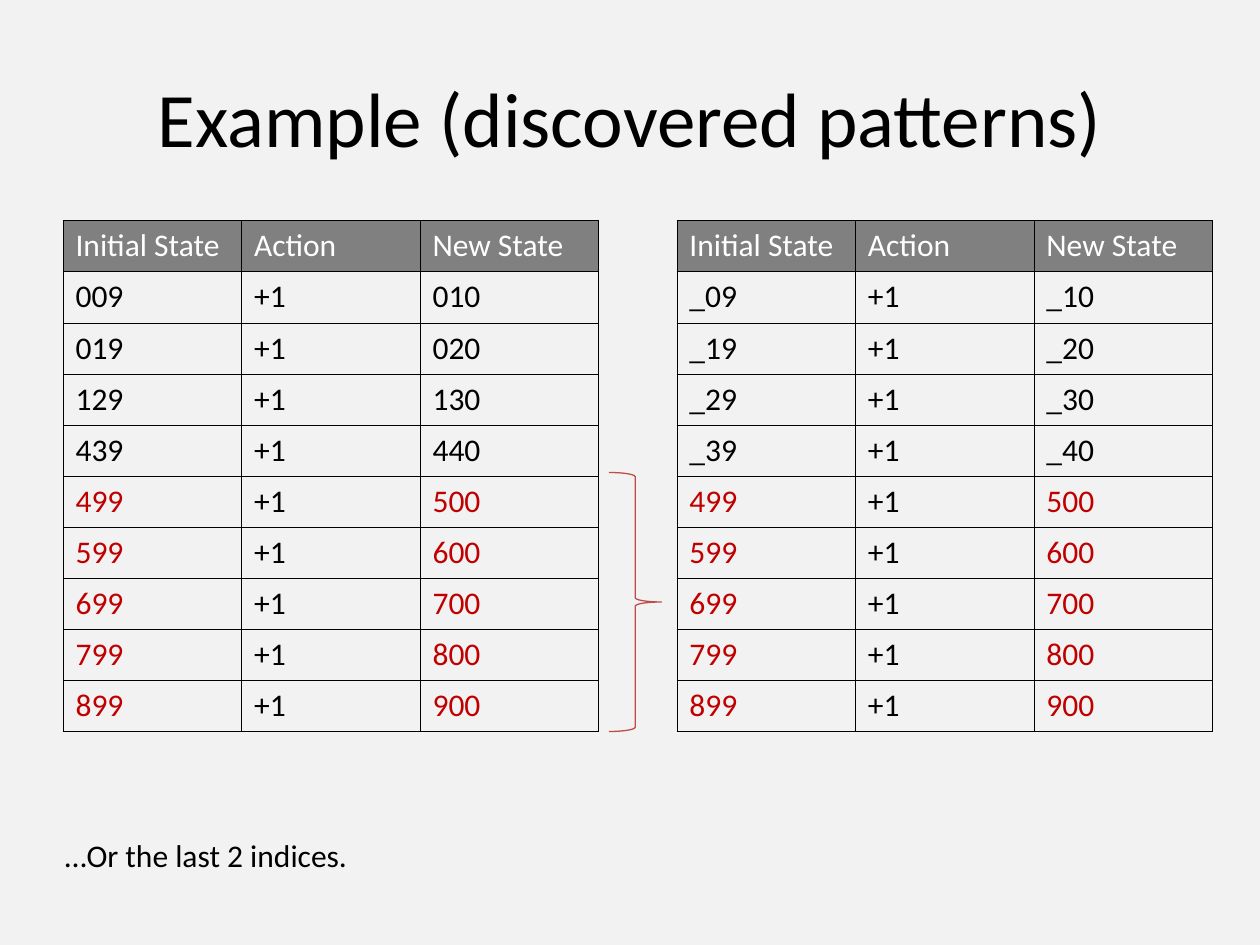
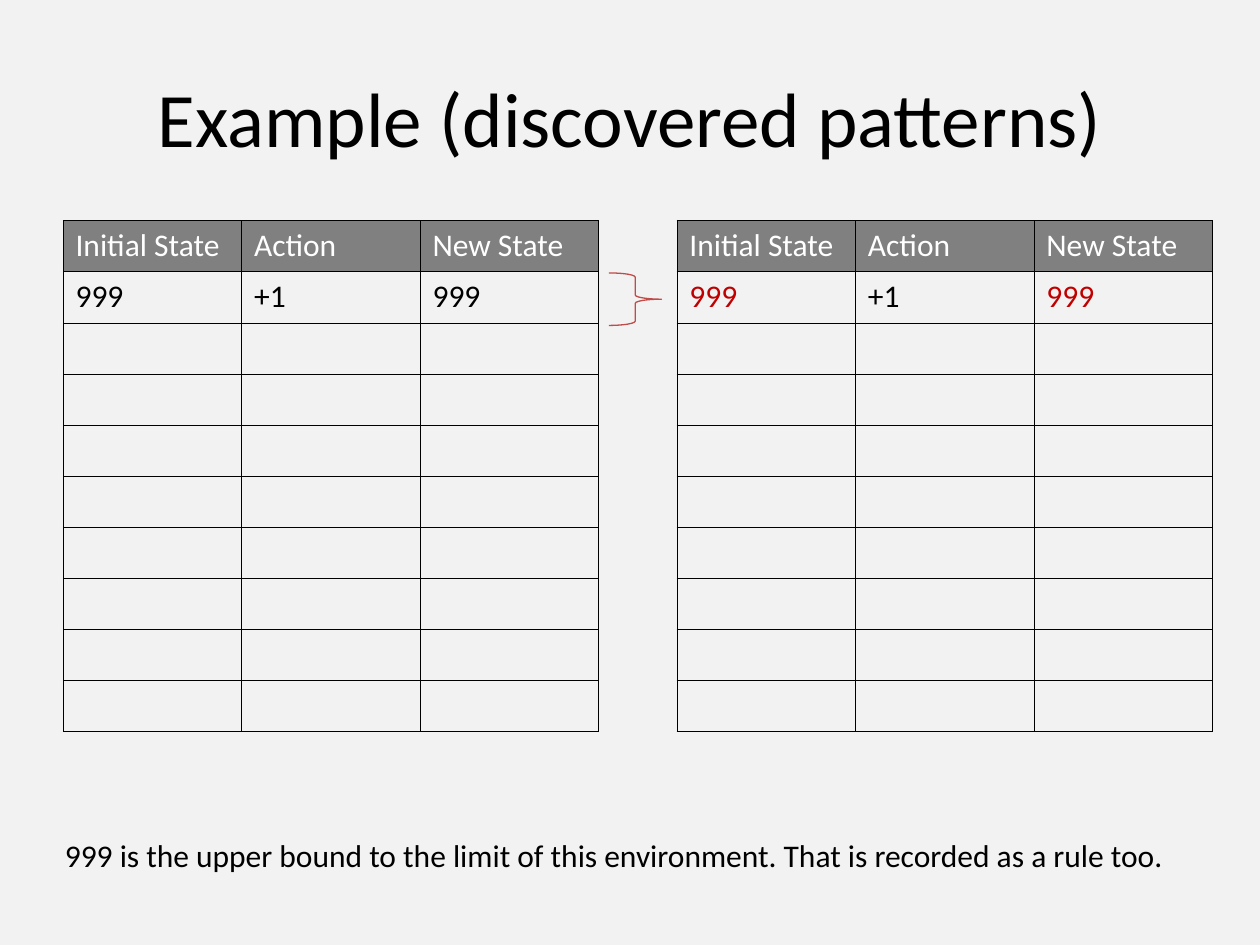
from dataclasses import dataclass

from lxml.etree import SubElement as Sub
from pptx import Presentation
from pptx.dml.color import RGBColor as RGB
from pptx.enum.shapes import MSO_SHAPE as Shape
from pptx.enum.text import MSO_ANCHOR as Anchor, MSO_AUTO_SIZE as Auto, PP_ALIGN as Align
from pptx.oxml.ns import qn
from pptx.util import Emu, Pt

# Shared look, with 180 px to the inch
SCALE = 5080
FONT = "Calibri"
HUES = {"back": "F2F2F2", "ink": "000000", "red": "C00000",
        "head": "808080", "pale": "FFFFFF", "brace": "BF4C48"}
TITLE = "Example (discovered patterns)"
HEADS = ("Initial State", "Action", "New State")
ACTION = "+1"
ROWS, ROW_H, COL_W, TOP = 10, 73, 255, 315
LEFT_X, RIGHT_X = 90, 967


@dataclass
class Box:
    x: int
    y: int
    w: int
    h: int

    def emu(self) -> list[Emu]:
        return [px(n) for n in (self.x, self.y, self.w, self.h)]


@dataclass
class Grid:
    x: int
    states: list[tuple[str, str]]
    red_from: int


@dataclass
class Page:
    grids: list[Grid]
    brace: Box
    note: str


def px(n: int) -> Emu:
    return Emu(n * SCALE)


def hue(name: str) -> RGB:
    return RGB.from_string(HUES[name])


def add_run(para, text: str, size: int, color: str) -> None:
    run = para.add_run()
    run.text = text
    font = run.font
    font.name, font.size, font.bold = FONT, Pt(size), False
    font.color.rgb = hue(color)


def add_text(slide, box: Box, text: str, size: int):
    frame = slide.shapes.add_textbox(*box.emu()).text_frame
    frame.word_wrap = True
    add_run(frame.paragraphs[0], text, size, "ink")
    return frame


def add_edges(cell) -> None:
    props = cell._tc.get_or_add_tcPr()
    for side in ("lnL", "lnR", "lnT", "lnB"):
        line = Sub(props, qn(f"a:{side}"), w=str(Pt(0.25)))
        fill = Sub(line, qn("a:solidFill"))
        Sub(fill, qn("a:srgbClr"), val=HUES["ink"])


def add_grid(slide, grid: Grid) -> None:
    cols = len(HEADS)
    box = Box(grid.x, TOP, cols * COL_W, ROWS * ROW_H)
    table = slide.shapes.add_table(ROWS, cols, *box.emu()).table
    table.first_row = table.horz_banding = False
    for col in table.columns:
        col.width = px(COL_W)
    for row in table.rows:
        row.height = px(ROW_H)

    # Borders and fills; rows without states stay empty
    for cell in table.iter_cells():
        add_edges(cell)
        cell.fill.background()

    # Header row
    for c, head in enumerate(HEADS):
        cell = table.cell(0, c)
        cell.fill.solid()
        cell.fill.fore_color.rgb = hue("head")
        add_run(cell.text_frame.paragraphs[0], head, 18, "pale")

    # State rows, red from the given one on, with a black action
    for r, (old, new) in enumerate(grid.states):
        tone = "red" if r >= grid.red_from else "ink"
        parts = ((old, tone), (ACTION, "ink"), (new, tone))
        for c, (text, color) in enumerate(parts):
            add_run(table.cell(r + 1, c).text_frame.paragraphs[0], text, 18, color)


def add_brace(slide, box: Box) -> None:
    brace = slide.shapes.add_shape(Shape.RIGHT_BRACE, *box.emu())
    brace.shadow.inherit = False
    brace.adjustments[0] = 0.08
    brace.adjustments[1] = 0.5
    brace.fill.background()
    brace.line.color.rgb = hue("brace")
    brace.line.width = Pt(0.75)


def add_page(deck, page: Page) -> None:
    slide = deck.slides.add_slide(deck.slide_layouts[6])
    back = slide.background.fill
    back.solid()
    back.fore_color.rgb = hue("back")

    # Title
    title = add_text(slide, Box(90, 54, 1620, 225), TITLE, 44)
    title.vertical_anchor = Anchor.MIDDLE
    title.paragraphs[0].alignment = Align.CENTER

    # Tables, brace and note
    for grid in page.grids:
        add_grid(slide, grid)
    add_brace(slide, page.brace)
    note = add_text(slide, Box(75, 1185, 1635, 73), page.note, 18)
    note.auto_size = Auto.SHAPE_TO_FIT_TEXT


# Content
CARRY = [(f"{n}99", f"{n + 1}00") for n in range(4, 9)]
FOUND = [("009", "010"), ("019", "020"), ("129", "130"), ("439", "440")]
RULES = [(f"_{n}9", f"_{n + 1}0") for n in range(4)]
LIMIT = [("999", "999")]

PAGES = [
    Page([Grid(LEFT_X, FOUND + CARRY, 4), Grid(RIGHT_X, RULES + CARRY, 4)],
         Box(870, 675, 75, 370), "…Or the last 2 indices."),
    Page([Grid(LEFT_X, LIMIT, 1), Grid(RIGHT_X, LIMIT, 0)],
         Box(870, 390, 75, 75),
         "999 is the upper bound to the limit of this environment. "
         "That is recorded as a rule too."),
]


def main() -> None:
    deck = Presentation()
    deck.slide_width, deck.slide_height = px(1800), px(1350)
    for page in PAGES:
        add_page(deck, page)
    deck.save("out.pptx")


if __name__ == "__main__":
    main()
